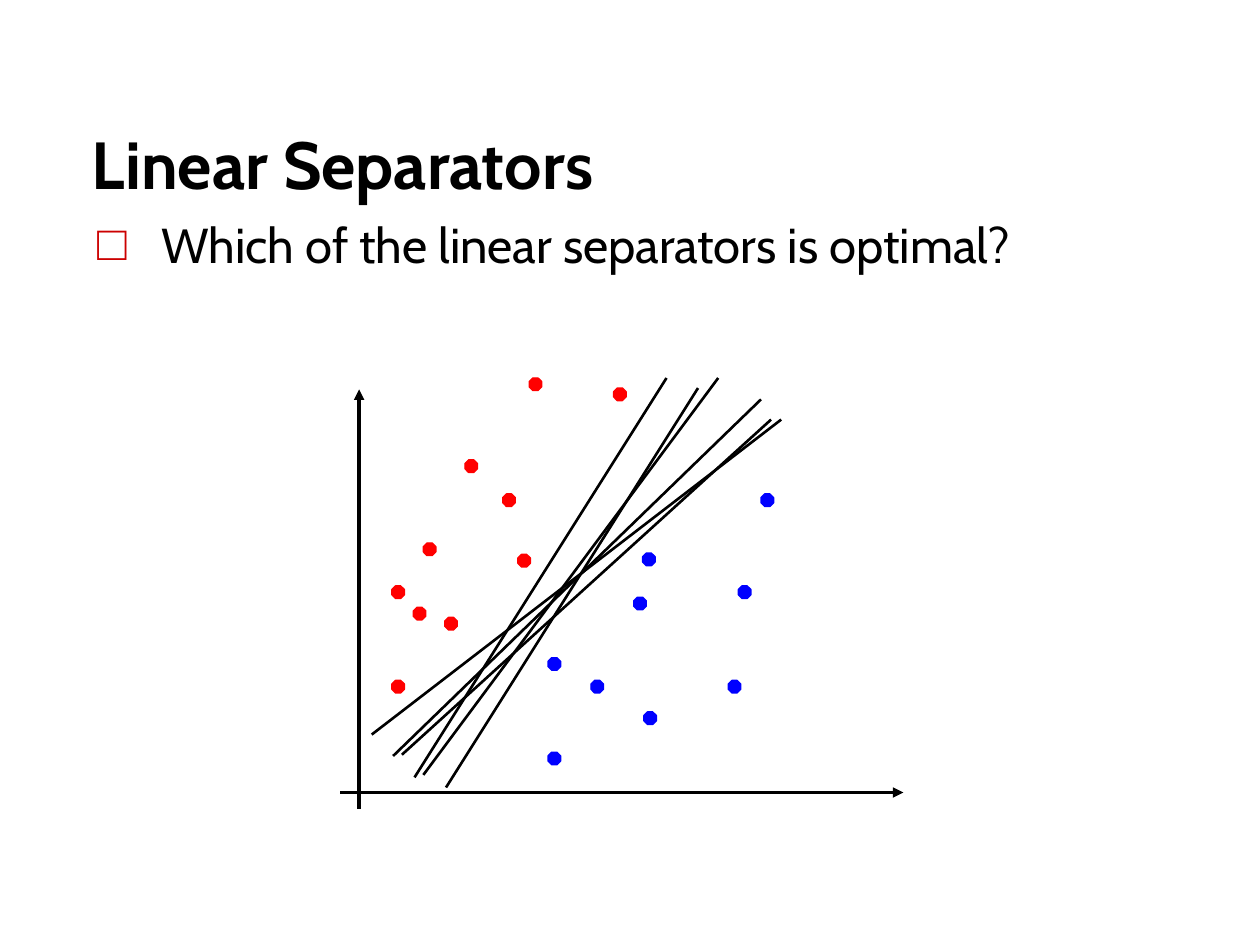
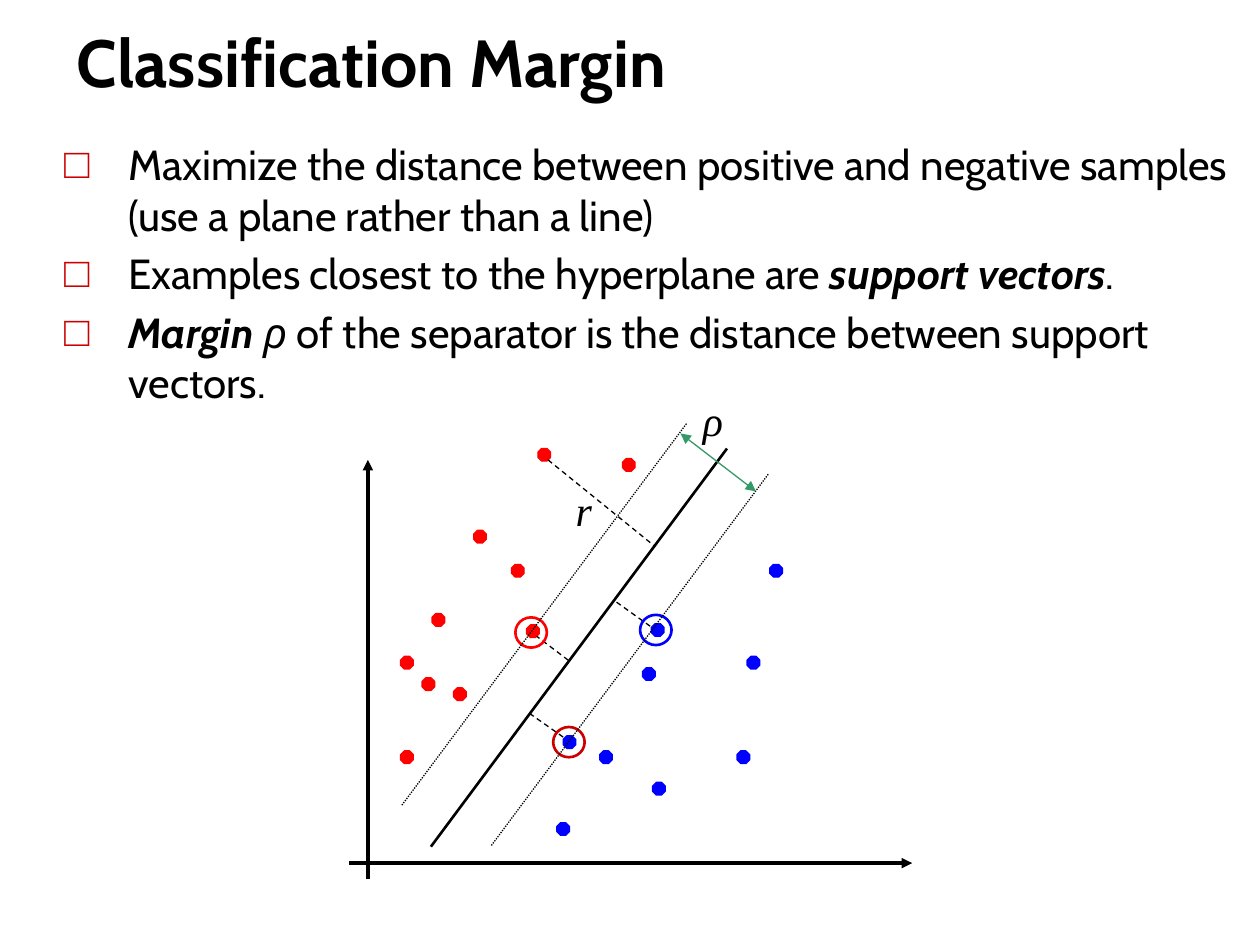
from dataclasses import dataclass
from lxml.etree import SubElement
from pptx import Presentation
from pptx.dml.color import RGBColor
from pptx.enum.dml import MSO_LINE
from pptx.enum.shapes import MSO_CONNECTOR, MSO_SHAPE
from pptx.enum.text import MSO_ANCHOR, MSO_AUTO_SIZE, PP_ALIGN
from pptx.oxml.ns import qn
from pptx.util import Inches, Pt


@dataclass(frozen=True)
class Theme:
    ink: str = "000000"
    red: str = "FF0000"
    blue: str = "0000FF"
    mark: str = "CC0000"
    green: str = "339966"
    font: str = "Cabin"
    math: str = "Times New Roman"
    title: int = 38
    lead: int = 28
    body: int = 24
    thin: float = 0.75
    mid: float = 1.5
    thick: float = 2
    dot: float = 0.1
    ring: tuple = (0.25, 0.24)
    indent: float = 0.51


THEME = Theme()

REDS = [(1.29, 0.92), (0.66, 1.31), (0.83, 1.9), (0.41, 2.4), (0.99, 0.65),
        (0.41, 1.65), (0.58, 1.82), (1.41, 1.4), (1.5, 0), (2.17, 0.08)]
BLUES = [(2.4, 1.39), (1.99, 2.4), (3.08, 2.4), (1.65, 2.97), (2.33, 1.74),
         (2.41, 2.65), (3.16, 1.65), (3.34, 0.92)]


def write(par, text, size=THEME.body, font=THEME.font, color=THEME.ink,
          bold=False, italic=False):
    run = par.add_run()
    run.text = text
    run.font.size = Pt(size)
    run.font.name = font
    run.font.bold = bold
    run.font.italic = italic
    run.font.color.rgb = RGBColor.from_string(color)


def place(shape, box):
    shape.left, shape.top, shape.width, shape.height = map(Inches, box)


def head(slide, box, text):
    title = slide.shapes.title
    place(title, box)
    frame = title.text_frame
    frame.auto_size = MSO_AUTO_SIZE.NONE
    frame.vertical_anchor = MSO_ANCHOR.BOTTOM
    frame.paragraphs[0].alignment = PP_ALIGN.LEFT
    write(frame.paragraphs[0], text, size=THEME.title, bold=True)


def bullet(par):
    props = par._p.get_or_add_pPr()
    props.set("marL", str(Inches(THEME.indent)))
    props.set("indent", str(-Inches(THEME.indent)))
    tint = SubElement(props, qn("a:buClr"))
    SubElement(tint, qn("a:srgbClr"), val=THEME.mark)
    SubElement(props, qn("a:buChar"), char="□")


def points(slide, box, items, size):
    body = slide.placeholders[1]
    place(body, box)
    frame = body.text_frame
    frame.auto_size = MSO_AUTO_SIZE.NONE
    for i, item in enumerate(items):
        par = frame.add_paragraph() if i else frame.paragraphs[0]
        bullet(par)
        for text, style in item:
            write(par, text, size=size, **style)


def line(slide, spot, start, end, color=THEME.ink, width=THEME.mid,
         dash=None, tips=()):
    x, y = spot
    ends = [Inches(n) for n in (x + start[0], y + start[1], x + end[0], y + end[1])]
    link = slide.shapes.add_connector(MSO_CONNECTOR.STRAIGHT, *ends)
    link.line.color.rgb = RGBColor.from_string(color)
    link.line.width = Pt(width)
    if dash:
        link.line.dash_style = dash
    for tip in tips:
        SubElement(link.line._get_or_add_ln(), qn(f"a:{tip}"), type="triangle")
    SubElement(link._element.spPr, qn("a:effectLst"))


def shape(slide, kind, spot, at, size, color, width, solid=True):
    item = slide.shapes.add_shape(kind, 0, 0, 0, 0)
    place(item, (spot[0] + at[0], spot[1] + at[1], *size))
    item.shadow.inherit = False
    tint = RGBColor.from_string(color)
    if solid:
        item.fill.solid()
        item.fill.fore_color.rgb = tint
    else:
        item.fill.background()
    item.line.color.rgb = tint
    item.line.width = Pt(width)
    return item


def plot(slide, spot, near):
    for start, end in [((0.15, 3.42), (0.15, 0.09)), ((0, 3.29), (4.47, 3.29))]:
        line(slide, spot, start, end, width=THEME.thick, tips=["tailEnd"])
    for color, group in [(THEME.red, REDS), (THEME.blue, BLUES + [near])]:
        for at in group:
            dot = shape(slide, MSO_SHAPE.OCTAGON, spot, at,
                        (THEME.dot, THEME.dot), color, THEME.thin)
            dot.adjustments[0] = 0.293


def label(slide, spot, at, width, text):
    box = slide.shapes.add_textbox(0, 0, 0, 0)
    place(box, (spot[0] + at[0], spot[1] + at[1], width, 0.5))
    box.text_frame.word_wrap = True
    write(box.text_frame.paragraphs[0], text, font=THEME.math, italic=True)


def choices(slide, spot):
    plot(slide, spot, near=(1.65, 2.22))
    for start, end in [((0.49, 2.99), (3.42, 0.33)), ((0.66, 3.15), (3, 0)),
                       ((0.25, 2.83), (3.5, 0.33)), ((0.84, 3.25), (2.84, 0.08)),
                       ((0.59, 3.17), (2.59, 0)), ((0.42, 3), (3.34, 0.17))]:
        line(slide, spot, start, end)


def margin(slide, spot):
    plot(slide, spot, near=(1.7, 2.28))
    line(slide, spot, (0.65, 3.16), (3, 0))
    for start, end in [((1.58, 0.09), (2.42, 0.77)), ((2.39, 1.41), (2.11, 1.21)),
                       ((1.7, 2.29), (1.43, 2.1)), ((1.74, 1.68), (1.49, 1.49))]:
        line(slide, spot, start, end, width=THEME.thin, dash=MSO_LINE.DASH)
    for at, color in [((1.32, 1.34), THEME.red), ((1.62, 2.21), THEME.mark),
                      ((2.31, 1.32), THEME.blue)]:
        shape(slide, MSO_SHAPE.OVAL, spot, at, THEME.ring, color,
              THEME.mid, solid=False)
    for start, end in [((1.13, 3.15), (3.33, 0.2)), ((0.42, 2.83), (2.68, -0.2))]:
        line(slide, spot, start, end, width=THEME.thin, dash=MSO_LINE.ROUND_DOT)
    line(slide, spot, (2.63, -0.12), (3.23, 0.34), color=THEME.green,
         width=THEME.thin, tips=["headEnd", "tailEnd"])
    label(slide, spot, (1.7, 0.24), 0.54, "r")
    label(slide, spot, (2.71, -0.48), 1.25, "ρ")


def main():
    deck = Presentation()
    deck.slide_width, deck.slide_height = Inches(10), Inches(7.5)
    layout = deck.slide_layouts[1]

    slide = deck.slides.add_slide(layout)
    head(slide, (0.63, 0.33, 8.75, 1.33), "Linear Separators")
    points(slide, (0.67, 1.65, 9, 5.5),
           [[("Which of the linear separators is optimal?", {})]], THEME.lead)
    choices(slide, (2.7, 3))

    strong = {"bold": True, "italic": True}
    slide = deck.slides.add_slide(layout)
    head(slide, (0.51, 0.09, 8.75, 0.76), "Classification Margin")
    points(slide, (0.41, 1.05, 9.46, 5.5), [
        [("Maximize the distance between positive and negative samples "
          "(use a plane rather than a line)", {})],
        [("Examples closest to the hyperplane are ", {}),
         ("support vectors", strong), (".", {})],
        [("Margin ", strong), ("ρ ", {"italic": True}),
         ("of the separator is the distance between support vectors.", {})],
    ], THEME.body)
    margin(slide, (2.77, 3.56))

    deck.save("out.pptx")


if __name__ == "__main__":
    main()
